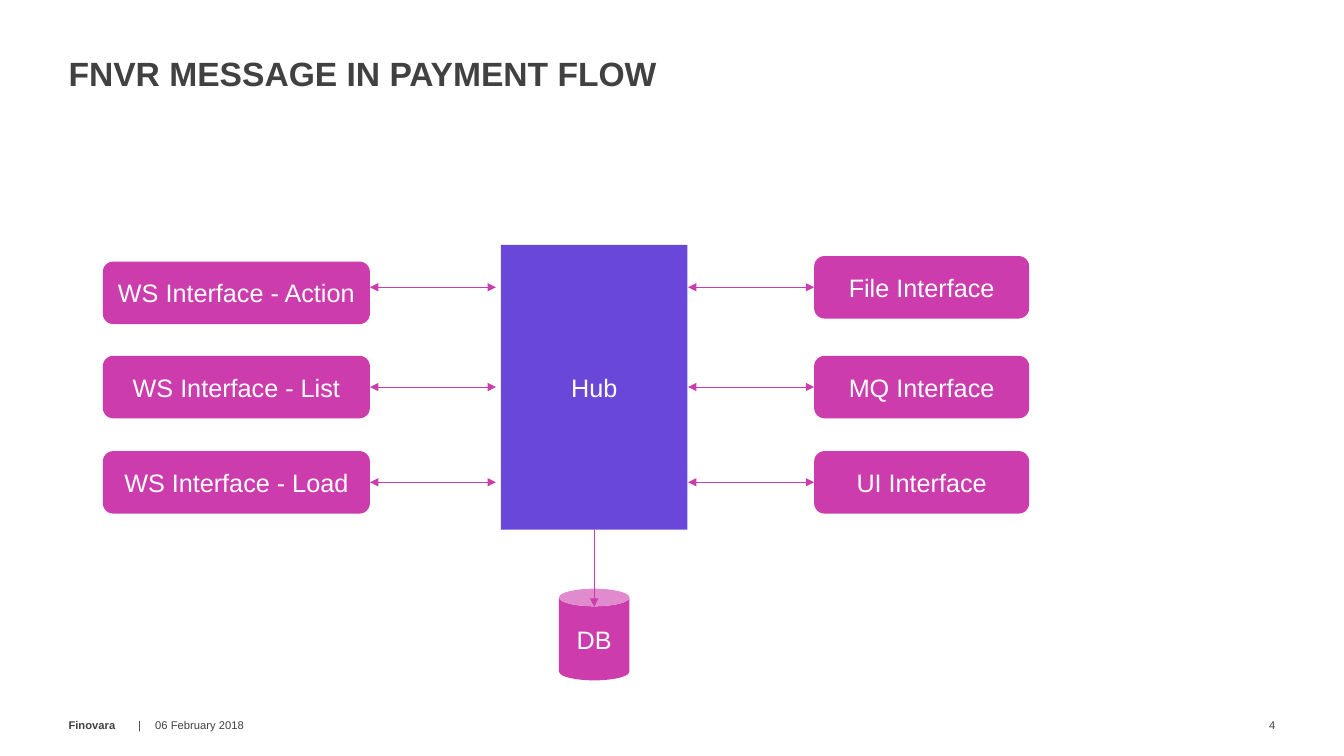
from dataclasses import dataclass

from lxml.etree import SubElement
from pptx import Presentation
from pptx.dml.color import RGBColor
from pptx.enum.shapes import MSO_CONNECTOR as Link, MSO_SHAPE as Preset
from pptx.enum.text import MSO_ANCHOR as Anchor, PP_ALIGN as Align
from pptx.oxml import parse_xml
from pptx.oxml.ns import nsdecls, qn
from pptx.util import Inches, Pt


@dataclass(frozen=True)
class Theme:
    font: str = "Arial"
    ink: str = "414141"
    paper: str = "FFFFFF"
    accent: str = "CD3CAD"
    core: str = "6948D9"
    title_size: int = 24
    label_size: int = 18
    footer_size: int = 8
    line_width: float = 0.5


class Board:
    """Draws on one slide with a grid of 40 columns by 30 rows."""
    COLUMNS, ROWS = 40, 30

    def __init__(self, deck, theme):
        self.theme = theme
        self.column = deck.slide_width / self.COLUMNS
        self.row = deck.slide_height / self.ROWS
        self.shapes = deck.slides.add_slide(deck.slide_layouts[6]).shapes

    def cells(self, x, y, *size):
        """Turn columns and rows into slide lengths, two by two."""
        pairs = (x, y, *size)
        return [round(n * (self.row if i % 2 else self.column))
                for i, n in enumerate(pairs)]

    def style(self, paragraph, size, color, align=Align.LEFT, bold=None):
        paragraph.alignment = align
        font = paragraph.font
        font.name, font.size, font.bold = self.theme.font, Pt(size), bold
        font.color.rgb = RGBColor.from_string(color)

    def text(self, area, words, size, align=Align.LEFT, anchor=Anchor.MIDDLE, bold=None):
        frame = self.shapes.add_textbox(*self.cells(*area)).text_frame
        frame.word_wrap, frame.vertical_anchor = True, anchor
        frame.margin_left = frame.margin_right = 0
        frame.margin_top = frame.margin_bottom = 0
        paragraph = frame.paragraphs[0]
        for part, part_bold in words:
            run = paragraph.add_run()
            run.text = part
            if part_bold is not None:
                run.font.bold = part_bold
        self.style(paragraph, size, self.theme.ink, align, bold)
        return paragraph

    def tab_stop(self, paragraph, columns):
        position = round(columns * self.column)
        paragraph._p.get_or_add_pPr().insert(0, parse_xml(
            f'<a:tabLst {nsdecls("a")}><a:tab pos="{position}" algn="l"/></a:tabLst>'))

    def node(self, preset, area, label, fill):
        shape = self.shapes.add_shape(preset, *self.cells(*area))
        shape.shadow.inherit = False
        shape.fill.solid()
        shape.fill.fore_color.rgb = RGBColor.from_string(fill)
        shape.line.fill.background()
        frame = shape.text_frame
        frame.word_wrap, frame.vertical_anchor = True, Anchor.MIDDLE
        frame.text = label
        self.style(frame.paragraphs[0], self.theme.label_size, self.theme.paper, Align.CENTER)

    def arrow(self, start, end, both_ways=True):
        link = self.shapes.add_connector(Link.STRAIGHT, *self.cells(*start, *end))
        link.line.width = Pt(self.theme.line_width)
        link.line.color.rgb = RGBColor.from_string(self.theme.accent)
        outline = link.line._get_or_add_ln()
        for tip in ("a:headEnd", "a:tailEnd") if both_ways else ("a:tailEnd",):
            SubElement(outline, qn(tip), type="triangle")
        SubElement(link._element.spPr, qn("a:effectLst"))


def main():
    deck = Presentation()
    deck.slide_width, deck.slide_height = Inches(13.33), Inches(7.5)
    theme = Theme()
    board = Board(deck, theme)

    # Title and footer
    margin, footer_top, footer_height = 2.04, 27.96, 1.6
    title = board.text((margin, 0.76, 31.8, 2.92), [("FNVR MESSAGE IN PAYMENT FLOW", None)],
                       theme.title_size, anchor=Anchor.BOTTOM, bold=True)
    title.line_spacing = 0.8
    company = board.text((margin, footer_top, 2.67, footer_height),
                         [("Finovara", True), ("\t|", False)], theme.footer_size)
    board.tab_stop(company, 2.07)
    board.text((4.62, footer_top, 4.6, footer_height), [("06 February 2018", None)],
               theme.footer_size)
    board.text((36.34, footer_top, 1.62, footer_height), [("4", None)],
               theme.footer_size, Align.RIGHT)

    # Payment hub and its database
    hub_left, hub_top, hub_width, hub_height = 14.91, 9.72, 5.55, 11.3
    hub_middle, hub_bottom = hub_left + hub_width / 2, hub_top + hub_height
    database_top, database_width = 23.36, 2.1
    board.node(Preset.RECTANGLE, (hub_left, hub_top, hub_width, hub_height), "Hub", theme.core)
    board.node(Preset.CAN, (hub_middle - database_width / 2, database_top, database_width, 3.64),
               "DB", theme.accent)
    board.arrow((hub_middle, hub_bottom), (hub_middle, database_top + 0.72), both_ways=False)

    # Interfaces on both sides, one lane each; the first left box sits a little lower
    lanes = (11.4, 15.36, 19.14)
    box_height, arrow_length = 2.48, 3.75
    left, left_width, right, right_width = 3.06, 7.95, 24.23, 6.4
    left_end = left + left_width
    sides = (
        (left, left_width, left_end + arrow_length, left_end, (0.22, 0, 0),
         ("WS Interface - Action", "WS Interface - List", "WS Interface - Load")),
        (right, right_width, right, right - arrow_length, (0, 0, 0),
         ("File Interface", "MQ Interface", "UI Interface")),
    )
    for box_left, box_width, start, end, drops, labels in sides:
        for lane, drop, label in zip(lanes, drops, labels):
            box_top = lane + drop - box_height / 2
            board.node(Preset.ROUNDED_RECTANGLE, (box_left, box_top, box_width, box_height),
                       label, theme.accent)
            board.arrow((start, lane), (end, lane))

    deck.save("out.pptx")


if __name__ == "__main__":
    main()
